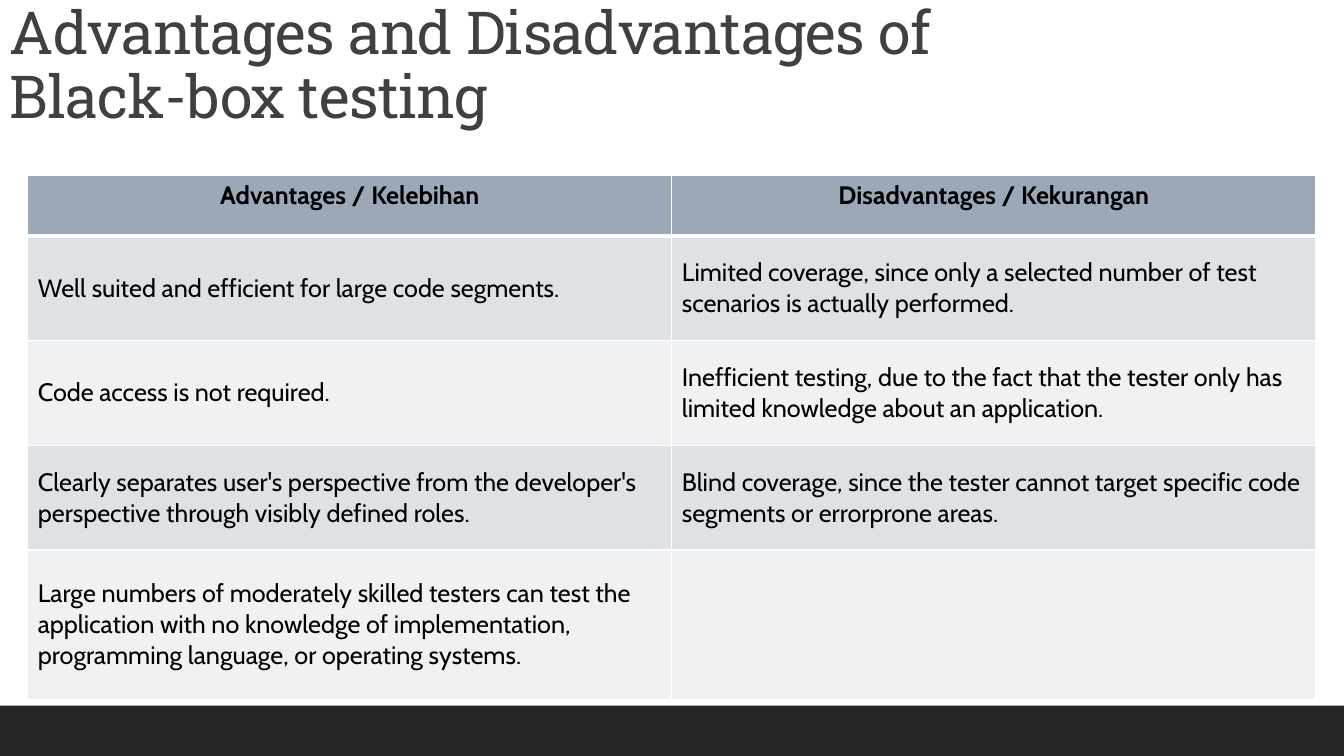
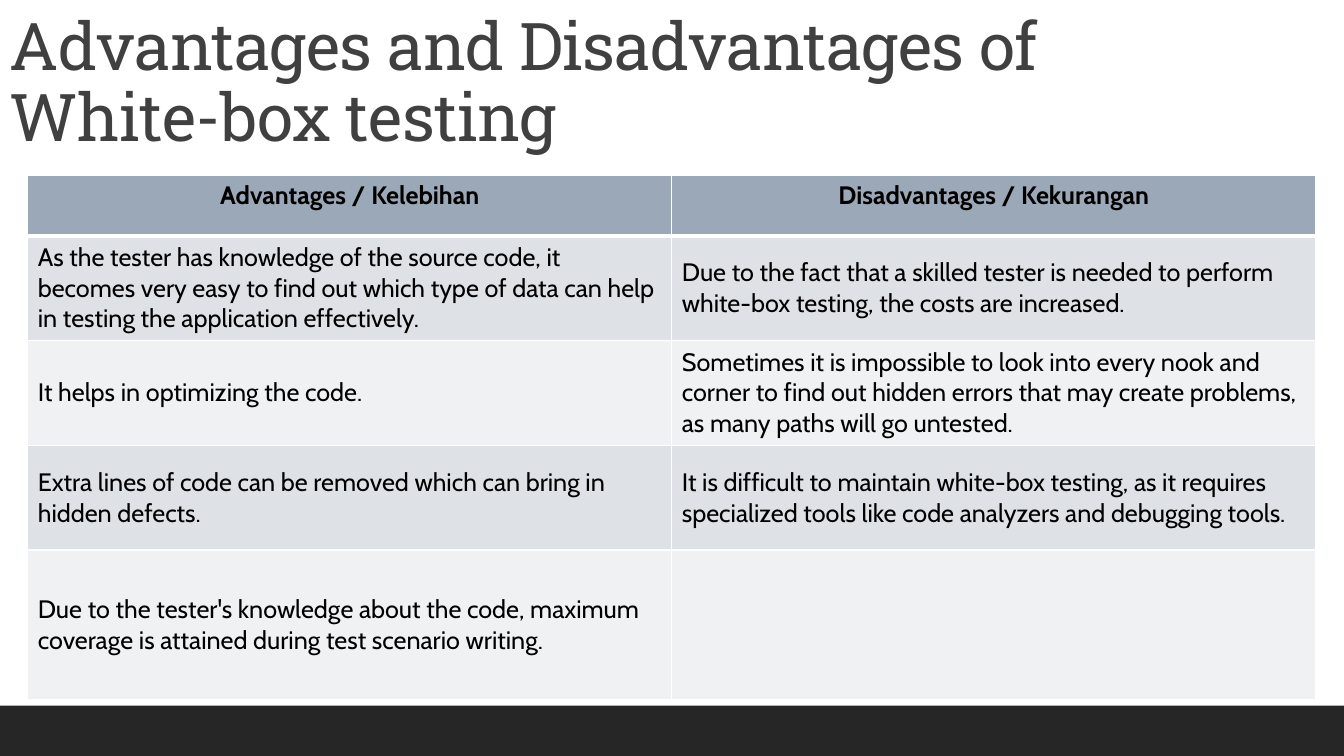
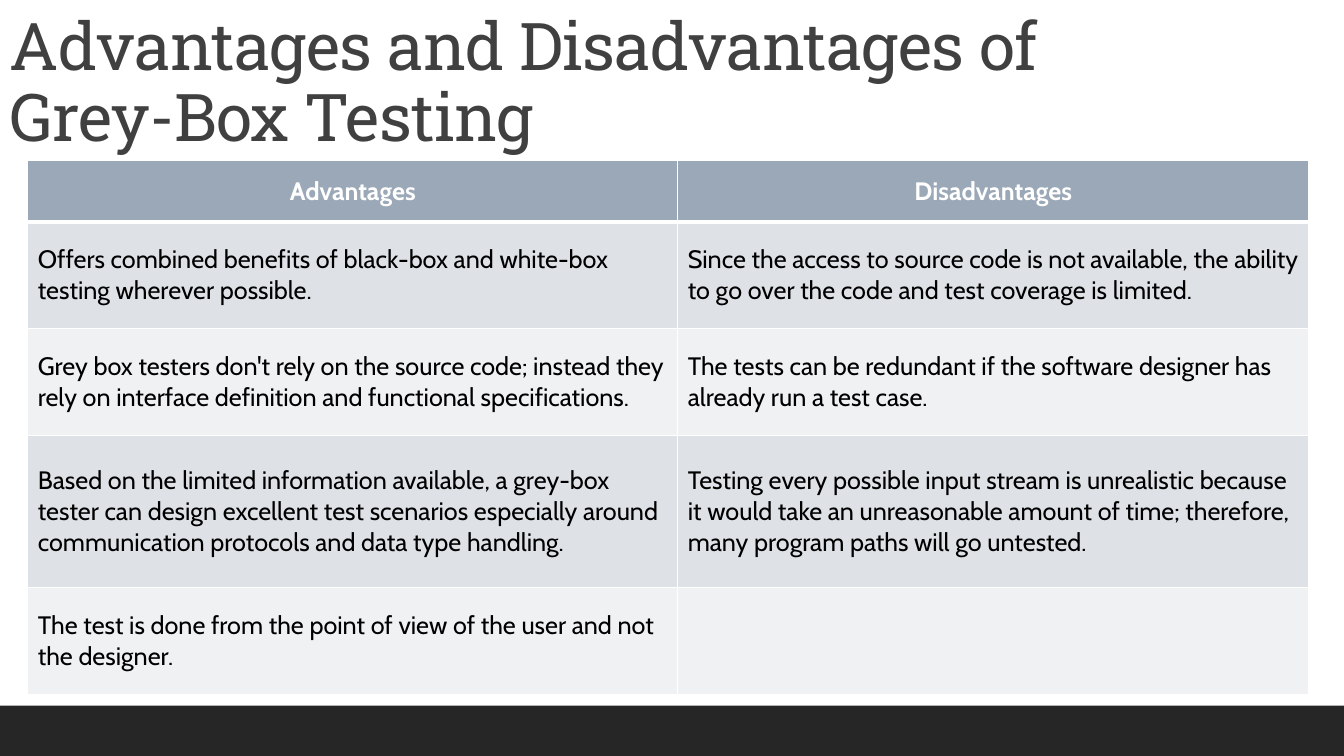
from lxml import etree
from pptx import Presentation
from pptx.dml.color import RGBColor
from pptx.enum.shapes import MSO_SHAPE
from pptx.enum.text import MSO_ANCHOR, PP_ALIGN
from pptx.oxml.ns import qn
from pptx.util import Cm, Pt

TOP, MID, LOW = MSO_ANCHOR.TOP, MSO_ANCHOR.MIDDLE, MSO_ANCHOR.BOTTOM
LEFT, CENTER = PP_ALIGN.LEFT, PP_ALIGN.CENTER
RECT = MSO_SHAPE.RECTANGLE

# Content: table rows are (advantage, disadvantage)
BLACK_BOX = [
    ("Advantages / Kelebihan", "Disadvantages / Kekurangan"),
    ("Well suited and efficient for large code segments.",
     "Limited coverage, since only a selected number of test scenarios is actually performed."),
    ("Code access is not required.",
     "Inefficient testing, due to the fact that the tester only has limited knowledge about an application."),
    ("Clearly separates user's perspective from the developer's perspective through visibly defined roles.",
     "Blind coverage, since the tester cannot target specific code segments or errorprone areas."),
    ("Large numbers of moderately skilled testers can test the application with no knowledge of "
     "implementation, programming language, or operating systems.", ""),
]
WHITE_BOX = [
    BLACK_BOX[0],
    ("As the tester has knowledge of the source code, it becomes very easy to find out which type of "
     "data can help in testing the application effectively.",
     "Due to the fact that a skilled tester is needed to perform white-box testing, the costs are increased."),
    ("It helps in optimizing the code.",
     "Sometimes it is impossible to look into every nook and corner to find out hidden errors that may "
     "create problems, as many paths will go untested."),
    ("Extra lines of code can be removed which can bring in hidden defects.",
     "It is difficult to maintain white-box testing, as it requires specialized tools like code "
     "analyzers and debugging tools."),
    ("Due to the tester's knowledge about the code, maximum coverage is attained during test scenario writing.",
     ""),
]
GREY_BOX = [
    ("Advantages", "Disadvantages"),
    ("Offers combined benefits of black-box and white-box testing wherever possible.",
     "Since the access to source code is not available, the ability to go over the code and test "
     "coverage is limited."),
    ("Grey box testers don't rely on the source code; instead they rely on interface definition and "
     "functional specifications.",
     "The tests can be redundant if the software designer has already run a test case."),
    ("Based on the limited information available, a grey-box tester can design excellent test scenarios "
     "especially around communication protocols and data type handling.",
     "Testing every possible input stream is unrealistic because it would take an unreasonable amount "
     "of time; therefore, many program paths will go untested."),
    ("The test is done from the point of view of the user and not the designer.", ""),
]

# Theme
THEME = {
    "band": "262626", "title": "404040", "head": "9BA8B7", "rows": ("DEE1E6", "EFF1F3"),
    "text": "000000", "line": "FFFFFF",
    "title_font": "Roboto Slab", "body_font": "Cabin", "body_size": 18,
    "thin": 1, "thick": 3,
}

# Layouts, in centimetres
WIDE, HIGH, BAND = 33.87, 19.05, 1.27
EDGE = 0.7
EVEN = {"top": 4.42, "cols": (16.23, 16.23), "rows": (1.52, 2.64, 2.64, 2.64, 3.76),
        "anchor": TOP, "ink": THEME["text"]}
TIGHT = {"top": 4.04, "cols": (16.38, 15.9), "rows": (1.55, 2.69, 2.69, 3.84, 2.69),
         "anchor": MID, "ink": THEME["line"]}

SLIDES = [
    {"title": "Advantages and Disadvantages of Black-box testing", "size": 42.3,
     "box": (28, 3.43), "table": BLACK_BOX, "plan": EVEN},
    {"title": "Advantages and Disadvantages of White-box testing", "size": 47,
     "box": (27.94, 4.04), "table": WHITE_BOX, "plan": EVEN},
    {"title": "Advantages and Disadvantages of Grey-Box Testing", "size": 47,
     "box": (27.94, 4.04), "table": GREY_BOX, "plan": TIGHT},
]


def write(frame, text, color, align=LEFT, **style):
    """Put one styled run in a text frame and return its paragraph and run."""
    para = frame.paragraphs[0]
    para.alignment = align
    run = para.add_run()
    run.text = text
    for name, value in style.items():
        setattr(run.font, name, value)
    run.font.color.rgb = RGBColor.from_string(color)
    return para, run


def add_band(slide):
    band = slide.shapes.add_shape(RECT, 0, Cm(HIGH - BAND), Cm(WIDE), Cm(BAND))
    band.shadow.inherit = False
    band.fill.solid()
    band.fill.fore_color.rgb = RGBColor.from_string(THEME["band"])
    band.line.fill.background()


def add_title(slide, text, size, box):
    frame = slide.shapes.add_textbox(0, 0, *map(Cm, box)).text_frame
    frame.word_wrap = True
    frame.vertical_anchor = LOW
    para, run = write(frame, text, THEME["title"], name=THEME["title_font"], size=Pt(size))
    para.line_spacing = 0.9
    run.font._element.set("spc", "-50")


def add_edges(cell, top, bottom):
    """Draw the four borders; lines must come before the fill."""
    props = cell._tc.get_or_add_tcPr()
    thin = THEME["thin"]
    edges = {"a:lnL": thin, "a:lnR": thin, "a:lnT": top, "a:lnB": bottom}
    for i, (tag, width) in enumerate(edges.items()):
        line = etree.Element(qn(tag), w=str(Pt(width)))
        fill = etree.SubElement(line, qn("a:solidFill"))
        etree.SubElement(fill, qn("a:srgbClr"), val=THEME["line"])
        props.insert(i, line)


def add_grid(slide, rows, plan):
    cols, highs = plan["cols"], plan["rows"]
    grid = slide.shapes.add_table(len(rows), len(cols), Cm(EDGE), Cm(plan["top"]),
                                  Cm(sum(cols)), Cm(sum(highs))).table
    for col, width in zip(grid.columns, cols):
        col.width = Cm(width)
    for r, (row, high) in enumerate(zip(rows, highs)):
        grid.rows[r].height = Cm(high)
        head = r == 0
        shade = THEME["head"] if head else THEME["rows"][(r - 1) % 2]
        for c, text in enumerate(row):
            cell = grid.cell(r, c)
            cell.fill.solid()
            cell.fill.fore_color.rgb = RGBColor.from_string(shade)
            add_edges(cell, THEME["thick" if r == 1 else "thin"],
                      THEME["thick" if head else "thin"])
            cell.vertical_anchor = plan["anchor"] if head else MID
            if text:
                write(cell.text_frame, text, plan["ink"] if head else THEME["text"],
                      CENTER if head else LEFT, name=THEME["body_font"],
                      size=Pt(THEME["body_size"]), bold=head)


def main():
    deck = Presentation()
    deck.slide_width, deck.slide_height = Cm(WIDE), Cm(HIGH)
    for page in SLIDES:
        slide = deck.slides.add_slide(deck.slide_layouts[6])
        add_band(slide)
        add_title(slide, page["title"], page["size"], page["box"])
        add_grid(slide, page["table"], page["plan"])
    deck.save("out.pptx")


if __name__ == "__main__":
    main()
